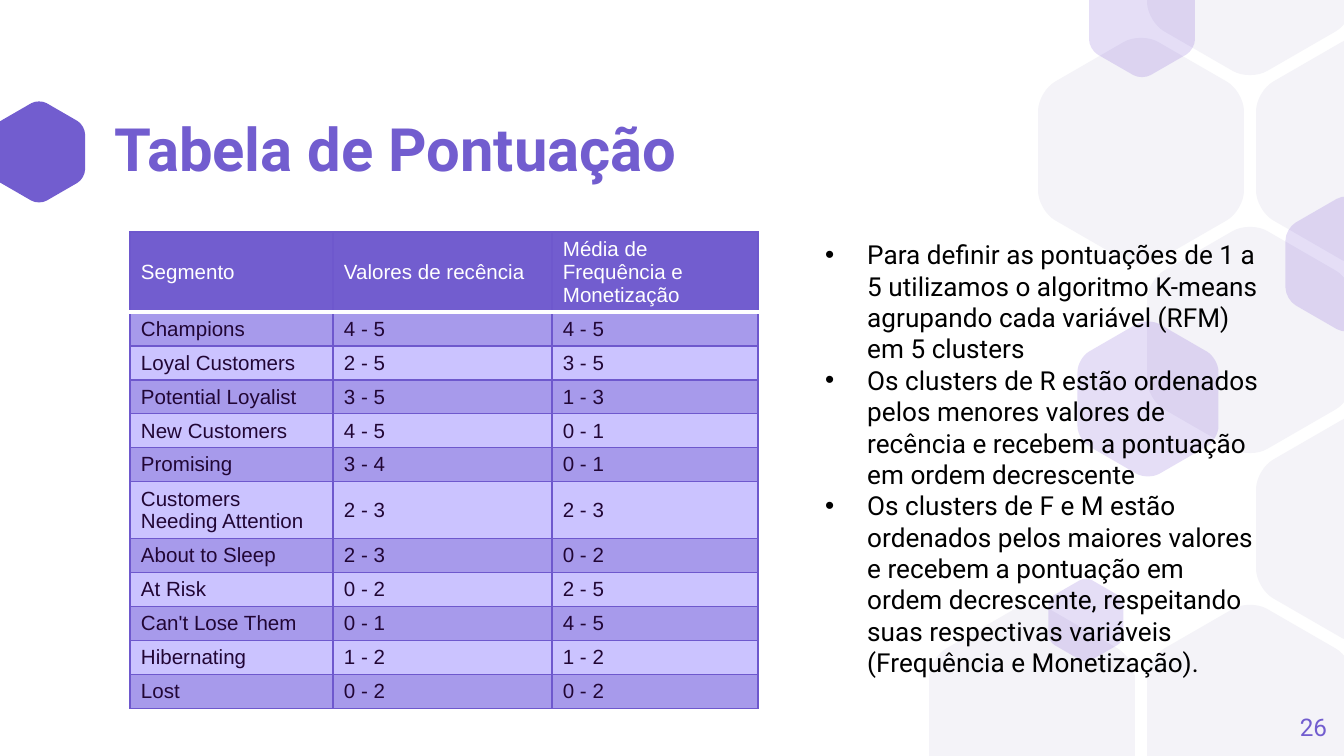
"""Build the score table slide with its hexagon backdrop, table and notes."""
from math import cos, radians, sin, sqrt

from lxml.etree import SubElement
from pptx import Presentation
from pptx.dml.color import RGBColor
from pptx.enum.text import MSO_ANCHOR as ANCHOR, MSO_AUTO_SIZE as AUTOSIZE, PP_ALIGN as ALIGN
from pptx.oxml.ns import qn
from pptx.util import Pt

TITLE = "Tabela de Pontuação"
PAGE = "26"
HEADER = ("Segmento", "Valores de recência", "Média de Frequência e Monetização")
SEGMENTS = [
    ("Champions", "4 - 5", "4 - 5"),
    ("Loyal Customers", "2 - 5", "3 - 5"),
    ("Potential Loyalist", "3 - 5", "1 - 3"),
    ("New Customers", "4 - 5", "0 - 1"),
    ("Promising", "3 - 4", "0 - 1"),
    ("Customers Needing Attention", "2 - 3", "2 - 3"),
    ("About to Sleep", "2 - 3", "0 - 2"),
    ("At Risk", "0 - 2", "2 - 5"),
    ("Can't Lose Them", "0 - 1", "4 - 5"),
    ("Hibernating", "1 - 2", "1 - 2"),
    ("Lost", "0 - 2", "0 - 2"),
]
NOTES = [
    "Para definir as pontuações de 1 a 5 utilizamos o algoritmo K-means agrupando "
    "cada variável (RFM) em 5 clusters",
    "Os clusters de R estão ordenados pelos menores valores de recência e recebem "
    "a pontuação em ordem decrescente",
    "Os clusters de F e M estão ordenados pelos maiores valores e recebem a pontuação "
    "em ordem decrescente, respeitando suas respectivas variáveis (Frequência e Monetização).",
]
COLORS = {
    "purple": "725DCF", "pale": "F4F3F8", "accent": "5322C9", "border": "6E58CD",
    "band_dark": "A79AEB", "band_light": "CBC3FF", "ink": "210635",
    "white": "FFFFFF", "black": "000000",
}
WIDTH, HEIGHT = 1344, 756
SCALE = 914400 / 134.4
COL_WIDTHS = (203, 219, 206)
HEADER_H, ROW_H, TALL_ROW_H = 80, 34, 57
PALE_CELLS = [(0, 4), (2, 4), (3, 1), (2, 0), (2, 2), (1, 1), (3, 3)]
ACCENT_HEXAGONS = [(1347, 264, 123), (1086, 620, 75), (1142, 19, 106), (1148, 399, 141)]


def px(n):
    return round(n * SCALE)


def rgb(name):
    return RGBColor.from_string(COLORS[name])


def write(tf, *texts, size, color, font="Roboto", bold=False, align=ALIGN.LEFT,
          spacing=None, bullet=False):
    tf.word_wrap = True
    for i, text in enumerate(texts):
        p = tf.add_paragraph() if i else tf.paragraphs[0]
        p.alignment = align
        if spacing:
            p.line_spacing = spacing
        if bullet:
            ppr = p._p.get_or_add_pPr()
            ppr.set("marL", str(px(42)))
            ppr.set("indent", str(-px(42)))
            SubElement(ppr, qn("a:buFont")).set("typeface", "Arial")
            SubElement(ppr, qn("a:buChar")).set("char", "•")
        r = p.add_run()
        r.text = text
        r.font.size, r.font.name, r.font.bold = Pt(size), font, bold
        r.font.color.rgb = rgb(color)


def place(sp, box, anchor, inset=None):
    sp.left, sp.top, sp.width, sp.height = map(px, box)
    tf = sp.text_frame
    tf.auto_size = AUTOSIZE.NONE
    tf.vertical_anchor = anchor
    if inset is not None:
        tf.margin_left = tf.margin_right = tf.margin_top = tf.margin_bottom = inset
    return tf


def toward(start, end, share):
    return tuple(s + (e - s) * share for s, e in zip(start, end))


def hexagon_outline(cx, cy, width):
    radius = width / sqrt(3)
    corners = [(cx + radius * cos(radians(a)), cy + radius * sin(radians(a)))
               for a in range(30, 390, 60)]
    points, curve_starts = [], []
    for i, corner in enumerate(corners):
        x, y = corner
        before, after = corners[i - 1], corners[(i + 1) % 6]
        if 0 <= y <= HEIGHT:
            curve_starts.append(len(points))
            points += [toward(corner, before, 1 / 6), toward(corner, before, 0.075),
                       toward(corner, after, 0.075), toward(corner, after, 1 / 6)]
        elif abs(x - cx) > 1:
            points.append((x, min(max(y, 0), HEIGHT)))
    return [(px(x), px(y)) for x, y in points], curve_starts


def add_hexagon(slide, cx, cy, width, color, opacity=None):
    points, curve_starts = hexagon_outline(cx, cy, width)
    builder = slide.shapes.build_freeform(*points[0])
    builder.add_line_segments(points[1:], close=True)
    sp = builder.convert_to_shape()
    outline = sp._element.spPr.find(".//" + qn("a:path"))
    segments = list(outline)
    for start in curve_starts:
        curve = outline.makeelement(qn("a:cubicBezTo"), {})
        outline.replace(segments[start + 1], curve)
        curve.append(segments[start + 1][0])
        for segment in segments[start + 2:start + 4]:
            curve.append(segment[0])
            outline.remove(segment)
    sp.shadow.inherit = False
    sp.line.fill.background()
    sp.fill.solid()
    sp.fill.fore_color.rgb = rgb(color)
    if opacity:
        clr = sp._element.spPr.find(".//" + qn("a:srgbClr"))
        SubElement(clr, qn("a:alpha")).set("val", str(opacity * 1000))


def set_borders(cell, **edges):
    tcpr = cell._tc.get_or_add_tcPr()
    for i, side in enumerate(("lnL", "lnR", "lnT", "lnB")):
        color, width = edges.get(side, ("border", 0.75))
        ln = tcpr.makeelement(qn("a:" + side), {"w": str(Pt(width))})
        fill = SubElement(ln, qn("a:solidFill"))
        SubElement(fill, qn("a:srgbClr")).set("val", COLORS[color])
        tcpr.insert(i, ln)


def add_score_table(slide, left, top):
    rows = [HEADER, *SEGMENTS]
    heights = [HEADER_H] + [TALL_ROW_H if len(s[0]) > 20 else ROW_H for s in SEGMENTS]
    box = (left, top, sum(COL_WIDTHS), sum(heights))
    table = slide.shapes.add_table(len(rows), len(HEADER), *map(px, box)).table
    table.horz_banding = False
    for column, width in zip(table.columns, COL_WIDTHS):
        column.width = px(width)
    for i, (row, height) in enumerate(zip(rows, heights)):
        table.rows[i].height = px(height)
        fill = "purple" if i == 0 else "band_dark" if i % 2 else "band_light"
        edges = {0: {"lnB": ("white", 2)}, 1: {"lnT": ("white", 2)}}.get(i, {})
        for j, text in enumerate(row):
            cell = table.cell(i, j)
            cell.margin_left = cell.margin_right = px(11)
            cell.margin_top = cell.margin_bottom = px(4 if i else 3)
            cell.vertical_anchor = ANCHOR.MIDDLE
            cell.fill.solid()
            cell.fill.fore_color.rgb = rgb(fill)
            set_borders(cell, **edges)
            write(cell.text_frame, text, size=11, font="Arial",
                  color="ink" if i else "white")


def main():
    prs = Presentation()
    prs.slide_width, prs.slide_height = px(WIDTH), px(HEIGHT)
    slide = prs.slides.add_slide(prs.slide_layouts[5])

    add_hexagon(slide, 39, 152, 92, "purple")
    for col, row in PALE_CELLS:
        add_hexagon(slide, 1032 + 109 * col, -38 + 189 * row, 206, "pale")
    for cx, cy, width in ACCENT_HEXAGONS:
        add_hexagon(slide, cx, cy, width, "accent", opacity=15)

    tf = place(slide.shapes.title, (115, 123, 883, 58), ANCHOR.MIDDLE, inset=0)
    write(tf, TITLE, size=32, color="purple", bold=True, spacing=0.9)

    tf = place(slide.shapes.add_textbox(0, 0, 0, 0), (1246, 698, 81, 58),
               ANCHOR.MIDDLE, inset=0)
    write(tf, PAGE, size=13, color="purple", align=ALIGN.RIGHT)

    add_score_table(slide, 130, 232)

    tf = place(slide.shapes.add_textbox(0, 0, 0, 0), (812, 232, 464, 457), ANCHOR.TOP)
    write(tf, *NOTES, size=14, color="black", bullet=True)
    prs.save("out.pptx")


if __name__ == "__main__":
    main()
